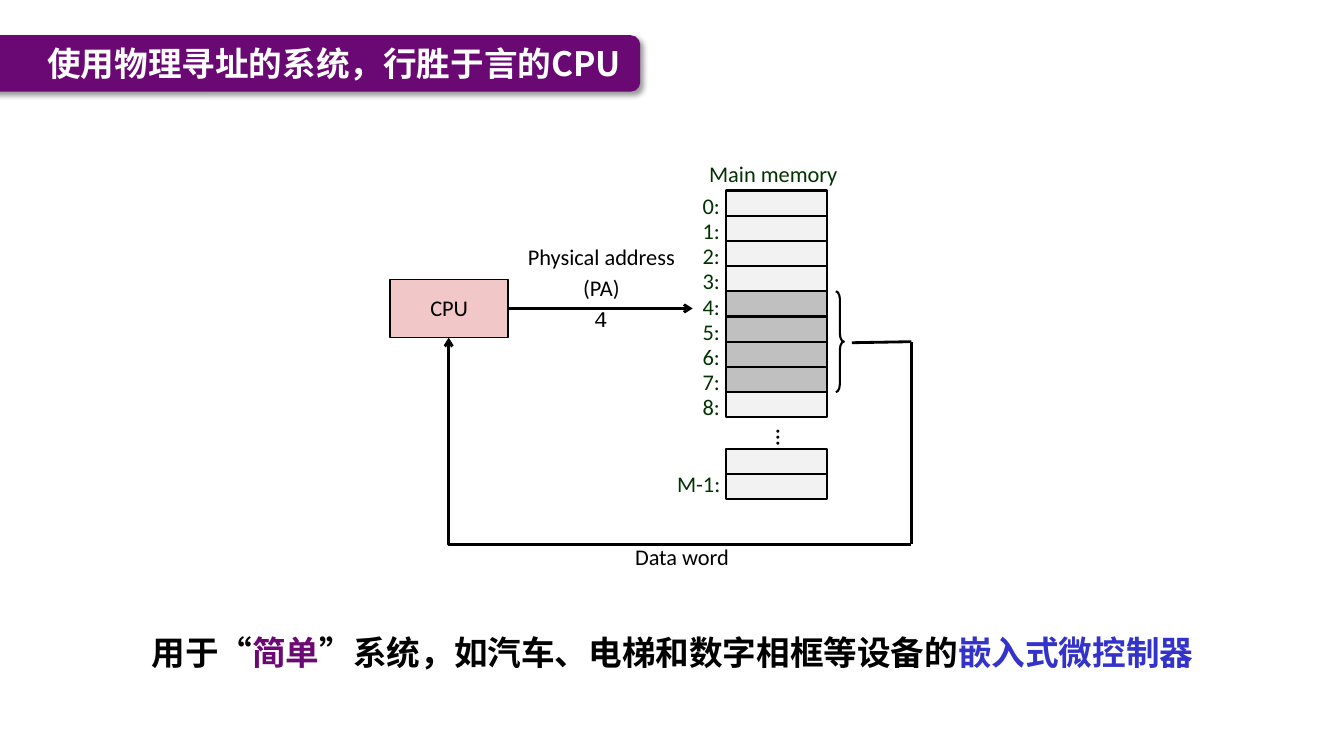
from lxml import etree
from pptx import Presentation
from pptx.dml.color import RGBColor
from pptx.enum.shapes import MSO_CONNECTOR as LINK, MSO_SHAPE as SHAPE
from pptx.enum.text import MSO_ANCHOR as ANCHOR, PP_ALIGN as ALIGN
from pptx.oxml import parse_xml
from pptx.oxml.ns import nsdecls, qn
from pptx.util import Emu, Pt

PX = 9144  # 100 px to the inch
THEME = {
    "purple": "6B0874", "banner": "6A0874", "blue": "3333CC", "green": "003300",
    "black": "000000", "white": "FFFFFF", "pink": "F1C7C7",
    "cell": "F2F2F2", "word": "C0C0C0",
    "label": 16, "dots": 18, "heading": 24,
    "sans": "Calibri", "mono": "Courier New", "cjk": "Noto Sans CJK SC",
}


def write(box, lines, size="label", face="sans", bold=False, wrap=False,
          anchor=ANCHOR.TOP, **paragraph_format):
    """Fill a box; each line is a list of (text, theme colour) spans."""
    frame = box.text_frame
    frame.word_wrap = wrap
    frame.vertical_anchor = anchor
    for number, line in enumerate(lines):
        para = frame.add_paragraph() if number else frame.paragraphs[0]
        para.space_before = Pt(3 if number else 0)
        for name, value in paragraph_format.items():
            setattr(para, name, value)
        for text, color in line:
            span = para.add_run()
            span.text = text
            font_format = {"size": Pt(THEME[size]), "bold": bold, "name": THEME[face]}
            for name, value in font_format.items():
                setattr(span.font, name, value)
            span.font.color.rgb = RGBColor.from_string(THEME[color])
            east_asian = etree.SubElement(span.font._element, qn("a:ea"))
            east_asian.set("typeface", THEME[face])


def draw(kind, area, fill=None, width=None):
    shape = slide.shapes.add_shape(kind, *[Emu(n * PX) for n in area])
    shape.shadow.inherit = False
    if fill:
        shape.fill.solid()
        shape.fill.fore_color.rgb = RGBColor.from_string(THEME[fill])
    else:
        shape.fill.background()
    if width:
        shape.line.width = Pt(width)
        shape.line.color.rgb = RGBColor.from_string(THEME["black"])
    else:
        shape.line.fill.background()
    return shape


deck = Presentation()
deck.slide_width, deck.slide_height = Emu(1333 * PX), Emu(750 * PX)
slide = deck.slides.add_slide(deck.slide_layouts[6])

# Title banner
banner = draw(SHAPE.ROUNDED_RECTANGLE, (-20, 35, 655, 56), "banner")
banner._element.spPr.find(qn("a:effectLst")).append(parse_xml(
    f'<a:outerShdw {nsdecls("a")} blurRad="50800" dist="38100" dir="2700000" algn="tl" '
    f'rotWithShape="0"><a:srgbClr val="{THEME["black"]}"><a:alpha val="40000"/>'
    '</a:srgbClr></a:outerShdw>'))

# Memory cells: addresses 0 to 8, then the last two
ROW, MEMORY_TOP, MEMORY_LEFT = 25, 189, 720
for address in range(9):
    fill = "word" if 4 <= address <= 7 else "cell"
    draw(SHAPE.RECTANGLE, (MEMORY_LEFT, MEMORY_TOP + address * ROW, 100, ROW), fill, 1.5)
for row in range(2):
    draw(SHAPE.RECTANGLE, (MEMORY_LEFT, 445 + row * ROW, 100, ROW), "cell", 1.5)

brace = draw(SHAPE.RIGHT_BRACE, (829, 289, 8, 100), width=1.5)
brace.adjustments[0], brace.adjustments[1] = 1, 0.5

cpu = draw(SHAPE.RECTANGLE, (387, 277, 117, 58), "pink", 1)
write(cpu, [[("CPU", "black")]], anchor=ANCHOR.MIDDLE, alignment=ALIGN.CENTER,
      line_spacing=0.98)

# Text boxes
address_format = {"alignment": ALIGN.CENTER, "line_spacing": 0.88}
caption_format = {"alignment": ALIGN.CENTER, "line_spacing": 0.98, "anchor": ANCHOR.MIDDLE}
texts = [((687, MEMORY_TOP + n * ROW, 37, 33), [[(f"{n}:", "green")]], address_format)
         for n in range(9)]
texts += [
    ((661, 465, 64, 33), [[("M-1:", "green")]], address_format),
    ((691, 157, 152, 33), [[("Main memory", "green")]], address_format),
    ((513, 237, 167, 68), [[("Physical address", "black")], [("(PA)", "black")]],
     caption_format),
    ((618, 535, 117, 37), [[("Data word", "black")]], caption_format),
    ((579, 298, 34, 37), [[("4", "black")]], {"face": "mono", "alignment": ALIGN.CENTER}),
    ((37, 35, 598, 55), [[("使用物理寻址的系统，行胜于言的CPU", "white")]],
     {"size": "heading", "face": "cjk", "bold": True, "wrap": True, "anchor": ANCHOR.MIDDLE}),
    ((124, 614, 1086, 74),
     [[("用于“", "black"), ("简单", "purple"),
       ("”系统，如汽车、电梯和数字相框等设备的", "black"), ("嵌入式微控制器", "blue")]],
     {"size": "heading", "face": "cjk", "bold": True, "wrap": True,
      "alignment": ALIGN.CENTER, "line_spacing": 1.2}),
]
for area, lines, text_format in texts:
    write(slide.shapes.add_textbox(*[Emu(n * PX) for n in area]), lines, **text_format)

dots = slide.shapes.add_textbox(*[Emu(n * PX) for n in (729, 415, 100, 25)])
write(dots, [[("...", "black")]], size="dots", **caption_format)
dots.text_frame._txBody.bodyPr.set("vert", "eaVert")

# Address bus and data path
links = [
    (LINK.STRAIGHT, (504, 306, 687, 306), True),
    (LINK.STRAIGHT, (845, 340, 904, 339), False),
    (LINK.STRAIGHT, (904, 339, 904, 540), False),
    (LINK.ELBOW, (445, 335, 904, 540), True),
]
for kind, ends, arrow in links:
    link = slide.shapes.add_connector(kind, *[Emu(n * PX) for n in ends])
    link.line.width = Pt(2)
    link.line.color.rgb = RGBColor.from_string(THEME["black"])
    properties = link._element.spPr
    if arrow:
        etree.SubElement(link.line._get_or_add_ln(), qn("a:tailEnd")).set("type", "arrow")
    if kind == LINK.ELBOW:  # half a turn: runs left along the bottom, then up to the CPU
        properties.find(qn("a:xfrm")).set("rot", "10800000")
        guide = etree.SubElement(properties.find(qn("a:prstGeom")).find(qn("a:avLst")), qn("a:gd"))
        guide.set("name", "adj1")
        guide.set("fmla", "val 100000")
    etree.SubElement(properties, qn("a:effectLst"))

deck.save("out.pptx")
